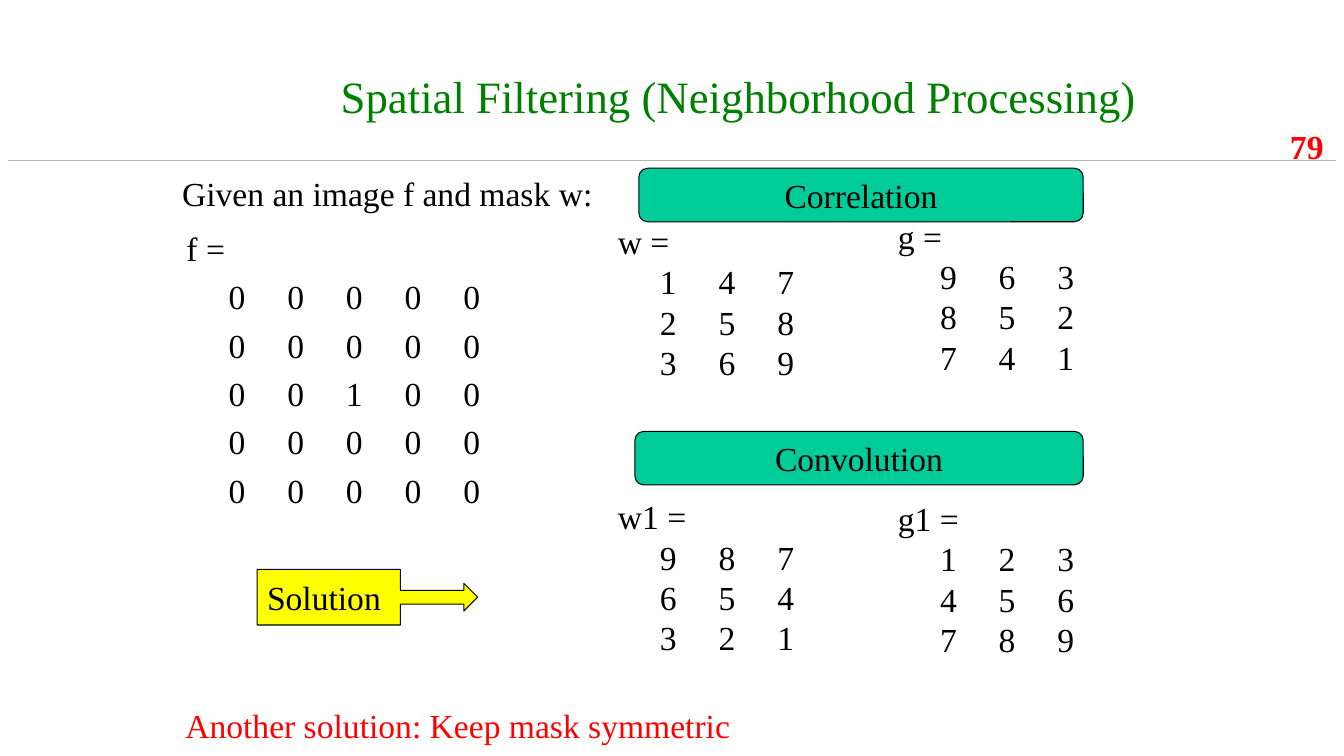
from dataclasses import dataclass

from lxml import etree
from pptx import Presentation
from pptx.dml.color import RGBColor
from pptx.enum.shapes import MSO_CONNECTOR, MSO_SHAPE
from pptx.enum.text import MSO_ANCHOR, MSO_AUTO_SIZE, PP_ALIGN
from pptx.oxml.ns import qn
from pptx.util import Cm, Pt

LEFT, CENTER = PP_ALIGN.LEFT, PP_ALIGN.CENTER
TOP, MIDDLE = MSO_ANCHOR.TOP, MSO_ANCHOR.MIDDLE
ROUNDED, CALLOUT = MSO_SHAPE.ROUNDED_RECTANGLE, MSO_SHAPE.RIGHT_ARROW_CALLOUT
STRAIGHT = MSO_CONNECTOR.STRAIGHT
NO_AUTOFIT = MSO_AUTO_SIZE.NONE

FONT = "Times New Roman"
BLACK, RED, GREEN = "000000", "FF0000", "008000"
TEAL, YELLOW, GRAY = "00CC99", "FFFF00", "B2B2B2"
FIRST_DIGIT, DIGIT_STEP = 1.06, 1.48

Box = tuple[float, float, float, float]


@dataclass
class Label:
    text: str
    box: Box
    color: str = BLACK
    bold: bool = False
    wrap: bool = False


@dataclass
class Panel:
    text: str
    box: Box
    kind: MSO_SHAPE = ROUNDED
    fill: str = TEAL
    align: PP_ALIGN = CENTER


@dataclass
class Matrix:
    name: str
    rows: list[str]


@dataclass
class Column:
    box: Box
    matrices: list[Matrix]
    inset: float = 1.52
    gap: float = 0
    spacing: float = 1.0


LABELS = [
    Label("79", (32.26, 3.05, 1.5, 1.27), RED, bold=True),
    Label("Given an image f and mask w:", (4.34, 4.22, 10.95, 1.27)),
    Label("Another solution: Keep mask symmetric", (4.42, 17.63, 14.58, 1.27), RED),
]
COLUMNS = [
    Column((21.11, 5.31, 7.7, 12.57),
           [Matrix("g =", ["963", "852", "741"]),
            Matrix("g1 =", ["123", "456", "789"])], gap=86.4),
    Column((4.45, 5.41, 8.23, 7.65),
           [Matrix("f =", ["00000", "00000", "00100", "00000", "00000"])],
           inset=0.25, spacing=1.2),
    Column((14.05, 5.44, 6.22, 11.38),
           [Matrix("w =", ["147", "258", "369"]),
            Matrix("w1 =", ["987", "654", "321"])], gap=81.6),
]
PANELS = [
    Panel("Solution", (6.48, 14.35, 5.56, 1.4), CALLOUT, YELLOW, LEFT),
    Panel("Correlation", (16.1, 4.24, 11.2, 1.35)),
    Panel("Convolution", (16, 10.87, 11.3, 1.35)),
]


def rgb(color: str) -> RGBColor:
    return RGBColor.from_string(color)


def write(p, text: str, *, size: float = 24, color: str = BLACK,
          bold: bool = False, align: PP_ALIGN = LEFT) -> None:
    p.alignment = align
    r = p.add_run()
    r.text = text
    r.font.name = FONT
    r.font.size = Pt(size)
    r.font.bold = bold
    r.font.color.rgb = rgb(color)


def set_tabs(p, count: int) -> None:
    tabs = etree.SubElement(p._p.get_or_add_pPr(), qn("a:tabLst"))
    for i in range(count):
        pos = Cm(FIRST_DIGIT + i * DIGIT_STEP)
        etree.SubElement(tabs, qn("a:tab"), pos=str(int(pos)), algn="l")


def add_box(s, box: Box, wrap: bool = True):
    tf = s.shapes.add_textbox(*map(Cm, box)).text_frame
    tf.word_wrap = wrap
    tf.vertical_anchor = TOP
    return tf


def add_title(s, text: str, box: Box) -> None:
    sp = s.shapes.title
    sp.left, sp.top, sp.width, sp.height = map(Cm, box)
    tf = sp.text_frame
    tf.auto_size = NO_AUTOFIT
    tf.vertical_anchor = TOP
    write(tf.paragraphs[0], text, size=32, color=GREEN, align=CENTER)


def add_rule(s, x1: float, x2: float, y: float) -> None:
    line = s.shapes.add_connector(STRAIGHT, Cm(x1), Cm(y), Cm(x2), Cm(y))
    line.line.color.rgb = rgb(GRAY)
    line.line.width = Pt(0.25)
    etree.SubElement(line._element.spPr, qn("a:effectLst"))


def add_label(s, label: Label) -> None:
    tf = add_box(s, label.box, label.wrap)
    write(tf.paragraphs[0], label.text, color=label.color, bold=label.bold)


def add_column(s, column: Column) -> None:
    tf = add_box(s, column.box)
    tf.margin_left = Cm(column.inset)
    for i, matrix in enumerate(column.matrices):
        p = tf.add_paragraph() if i else tf.paragraphs[0]
        if i:
            p.space_before = Pt(column.gap)
        p.line_spacing = column.spacing
        write(p, matrix.name)
        for row in matrix.rows:
            p = tf.add_paragraph()
            set_tabs(p, len(row))
            p.line_spacing = column.spacing
            write(p, "".join(f"\t{digit}" for digit in row))


def add_panel(s, panel: Panel) -> None:
    sp = s.shapes.add_shape(panel.kind, *map(Cm, panel.box))
    sp.shadow.inherit = False
    sp.fill.solid()
    sp.fill.fore_color.rgb = rgb(panel.fill)
    sp.line.color.rgb = rgb(BLACK)
    sp.line.width = Pt(0.75)
    tf = sp.text_frame
    tf.word_wrap = True
    tf.vertical_anchor = MIDDLE
    write(tf.paragraphs[0], panel.text, align=panel.align)


def main() -> None:
    prs = Presentation()
    prs.slide_width, prs.slide_height = Cm(33.87), Cm(19.05)
    s = prs.slides.add_slide(prs.slide_layouts[5])
    add_rule(s, 33.68, 0.2, 4.04)
    add_title(s, "Spatial Filtering (Neighborhood Processing)", (7.87, 1.6, 21.49, 1.6))
    for label in LABELS:
        add_label(s, label)
    for column in COLUMNS:
        add_column(s, column)
    for panel in PANELS:
        add_panel(s, panel)
    prs.save("out.pptx")


if __name__ == "__main__":
    main()
